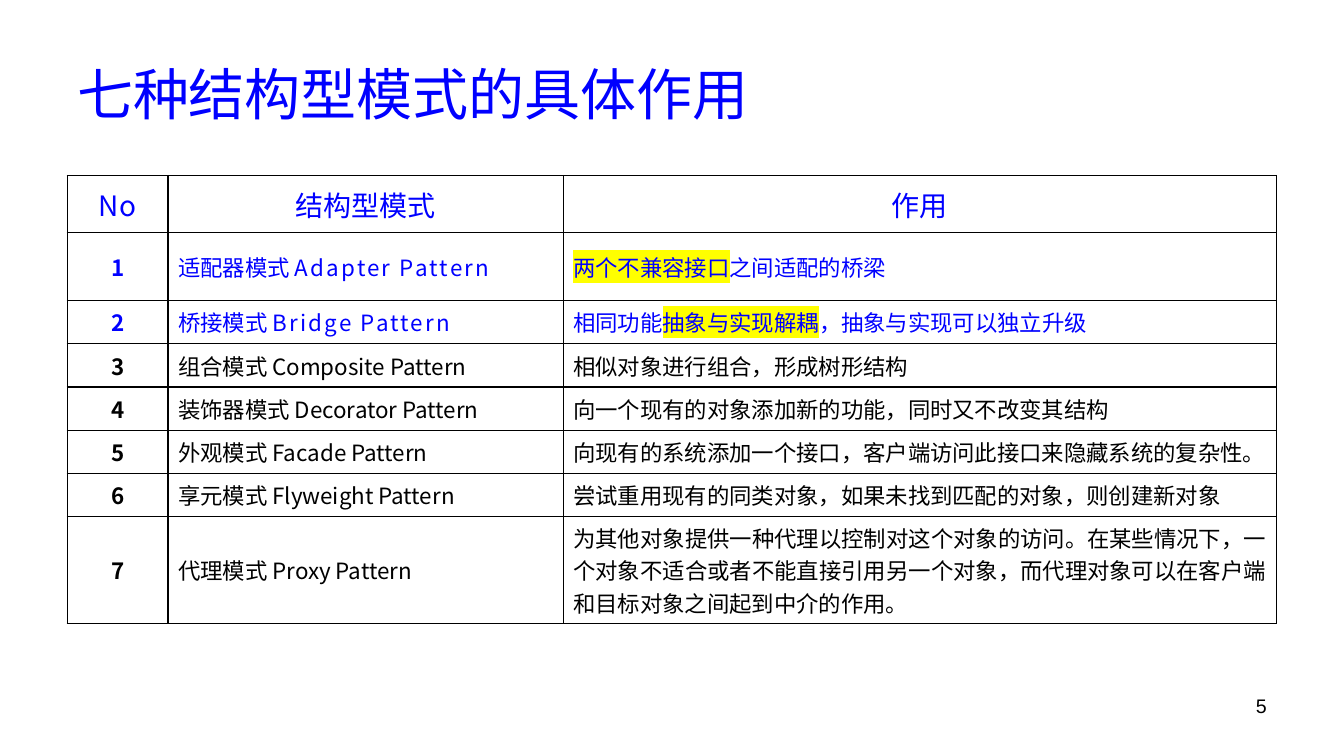
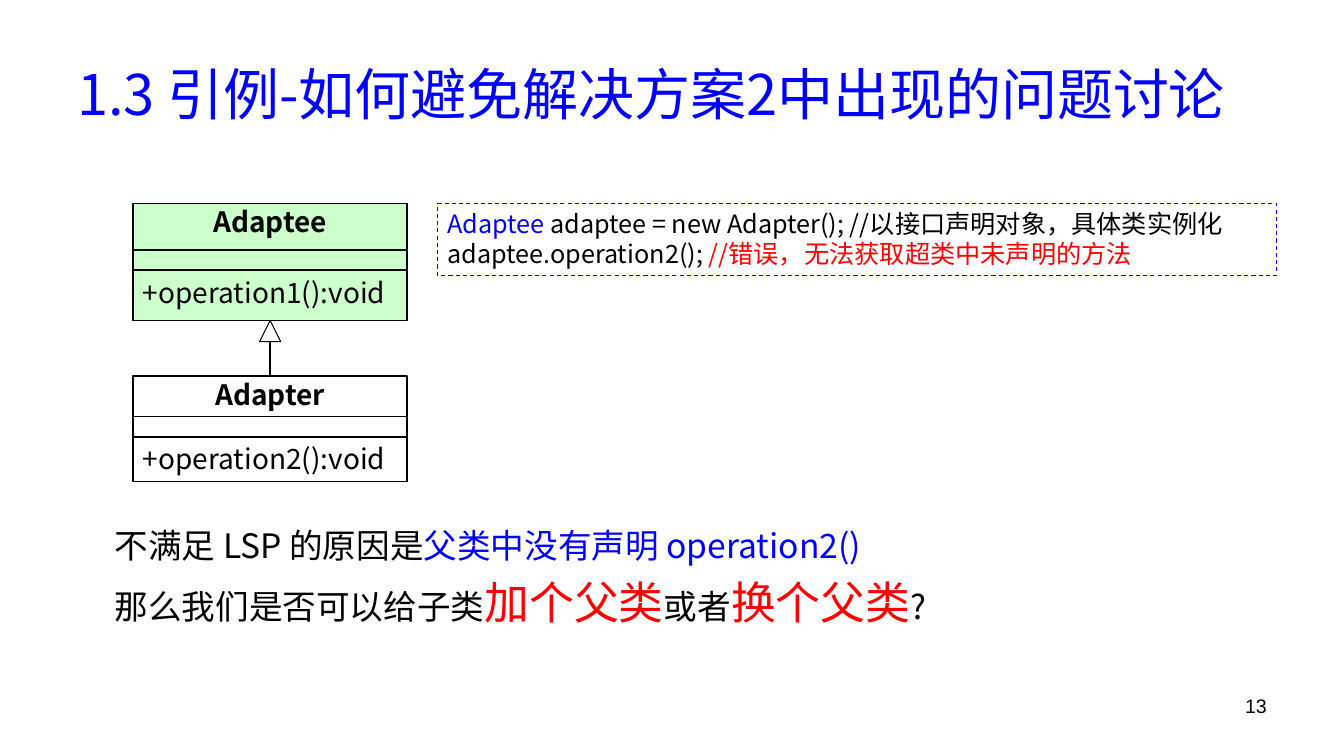
from dataclasses import dataclass
from typing import Optional

from lxml import etree
from pptx import Presentation, util as u
from pptx.dml.color import RGBColor
from pptx.enum import dml, shapes, text
from pptx.oxml import ns

# Shared look
BLUE = RGBColor(0x00, 0x00, 0xFF)
BLACK = RGBColor(0x00, 0x00, 0x00)
RED = RGBColor(0xFF, 0x00, 0x00)
WHITE = RGBColor(0xFF, 0xFF, 0xFF)
GREEN = RGBColor(0xCC, 0xFF, 0xCC)
YELLOW = RGBColor(0xFF, 0xFF, 0x00)
FACE = "Noto Sans CJK SC"
LEFT, CENTER, RIGHT, JUSTIFY = (text.PP_ALIGN.LEFT, text.PP_ALIGN.CENTER,
                                text.PP_ALIGN.RIGHT, text.PP_ALIGN.JUSTIFY)
TOP, MIDDLE = text.MSO_ANCHOR.TOP, text.MSO_ANCHOR.MIDDLE
RECT = shapes.MSO_SHAPE.RECTANGLE
SLIDE_W, SLIDE_H = u.Inches(13.33), u.Inches(7.5)


@dataclass(frozen=True)
class Box:
    """Position and size in percent of the slide."""
    x: float
    y: float
    w: float
    h: float

    def emu(self) -> tuple[int, int, int, int]:
        return across(self.x), down(self.y), across(self.w), down(self.h)


@dataclass(frozen=True)
class Run:
    text: str
    color: Optional[RGBColor] = None
    size: Optional[float] = None
    highlight: Optional[RGBColor] = None
    spacing: float = 0


@dataclass(frozen=True)
class Para:
    runs: tuple[Run, ...]
    size: float
    color: RGBColor = BLACK
    align: text.PP_ALIGN = LEFT
    bold: bool = False
    face: str = FACE
    before: float = 0
    line: Optional[float] = None


@dataclass(frozen=True)
class Pattern:
    name: str
    english: str
    purpose: tuple[Run, ...]
    height: float = 5.73
    studied: bool = False
    before: float = 0


@dataclass(frozen=True)
class UmlClass:
    name: str
    method: str
    top: float
    heights: tuple[float, float, float]
    fill: Optional[RGBColor] = None


TITLE_BOX = Box(5, 4, 90, 16.67)
PAGE_BOX = Box(71.67, 91.07, 23.33, 6.94)
TABLE_BOX = Box(5, 23.2, 90, 59.31)
COLUMNS = (7.5, 29.4, 53.1)
HEADER_HEIGHT = 7.6
UML_X, UML_W = 9.9, 20.4
UML_TOP = 26.93
CODE_BOX = Box(32.55, UML_TOP, 62.45, 9.47)
REASON_BOX = Box(7.8, 68.8, 87.2, 15.2)

PATTERNS = (
    Pattern("适配器模式", "Adapter Pattern",
            (Run("两个不兼容接口", highlight=YELLOW), Run("之间适配的桥梁")),
            height=8.93, studied=True, before=6),
    Pattern("桥接模式", "Bridge Pattern",
            (Run("相同功能"), Run("抽象与实现解耦", highlight=YELLOW),
             Run("，抽象与实现可以独立升级")), studied=True),
    Pattern("组合模式", "Composite Pattern",
            (Run("相似对象进行组合，形成树形结构"),), before=6),
    Pattern("装饰器模式", "Decorator Pattern",
            (Run("向一个现有的对象添加新的功能，同时又不改变其结构"),)),
    Pattern("外观模式", "Facade Pattern",
            (Run("向现有的系统添加一个接口，客户端访问此接口来隐藏系统的复杂性。"),),
            before=6),
    Pattern("享元模式", "Flyweight Pattern",
            (Run("尝试重用现有的同类对象，如果未找到匹配的对象，则创建新对象"),),
            before=6),
    Pattern("代理模式", "Proxy Pattern",
            (Run("为其他对象提供一种代理以控制对这个对象的访问。在某些情况下，"
                 "一个对象不适合或者不能直接引用另一个对象，"
                 "而代理对象可以在客户端和目标对象之间起到中介的作用。"),),
            height=14.13),
)

ADAPTEE = UmlClass("Adaptee", "+operation1():void", UML_TOP,
                   (6.13, 2.67, 6.67), GREEN)
ADAPTER = UmlClass("Adapter", "+operation2():void", 49.73,
                   (5.4, 2.67, 5.87))


def across(percent: float) -> int:
    return round(SLIDE_W * percent / 100)


def down(percent: float) -> int:
    return round(SLIDE_H * percent / 100)


# Text
def add_run(p, run: Run) -> None:
    r = p.add_run()
    r.text = run.text
    if run.size:
        r.font.size = u.Pt(run.size)
    if run.color is not None:
        r.font.color.rgb = run.color
    rpr = r._r.get_or_add_rPr()
    if run.spacing:
        rpr.set("spc", str(round(run.spacing * 100)))
    if run.highlight is not None:
        mark = etree.SubElement(rpr, ns.qn("a:highlight"))
        etree.SubElement(mark, ns.qn("a:srgbClr"), val=str(run.highlight))


def write(tf, paras: tuple[Para, ...]) -> None:
    for i, para in enumerate(paras):
        p = tf.add_paragraph() if i else tf.paragraphs[0]
        p.alignment = para.align
        p.space_before = u.Pt(para.before)
        if para.line:
            p.line_spacing = para.line
        font = p.font
        font.name, font.size, font.bold = para.face, u.Pt(para.size), para.bold
        font.color.rgb = para.color
        # East Asian glyphs need the typeface named separately
        defaults = p._p.pPr.find(ns.qn("a:defRPr"))
        etree.SubElement(defaults, ns.qn("a:ea"), typeface=para.face)
        for run in para.runs:
            add_run(p, run)


def add_text(s, box: Box, *paras: Para, anchor=TOP) -> None:
    tf = s.shapes.add_textbox(*box.emu()).text_frame
    tf.word_wrap = True
    tf.vertical_anchor = anchor
    write(tf, paras)


# Shapes
def add_shape(s, box: Box, *paras: Para, kind=RECT, fill=None,
              line=BLACK, width: float = 1):
    sp = s.shapes.add_shape(kind, *box.emu())
    sp.shadow.inherit = False
    if fill is None:
        sp.fill.background()
    else:
        sp.fill.solid()
        sp.fill.fore_color.rgb = fill
    sp.line.color.rgb = line
    sp.line.width = u.Pt(width)
    sp.text_frame.word_wrap = True
    sp.text_frame.vertical_anchor = TOP
    write(sp.text_frame, paras)
    return sp


def add_class(s, uml: UmlClass) -> float:
    """Draw name, attribute and method boxes; return the bottom edge."""
    contents = (
        (Para((Run(uml.name),), 20, align=CENTER, bold=True, line=0.9),),
        (),
        (Para((Run(uml.method),), 20),),
    )
    y = uml.top
    for height, paras in zip(uml.heights, contents):
        add_shape(s, Box(UML_X, y, UML_W, height), *paras, fill=uml.fill)
        y += height
    return y


def add_inheritance(s, parent_bottom: float, child_top: float) -> None:
    center, width, height = UML_X + UML_W / 2, 1.58, 2.8
    add_shape(s, Box(center - width / 2, parent_bottom, width, height),
              kind=shapes.MSO_SHAPE.ISOSCELES_TRIANGLE, fill=WHITE, width=0.75)
    line = s.shapes.add_connector(
        shapes.MSO_CONNECTOR.STRAIGHT, across(center),
        down(parent_bottom + height), across(center), down(child_top))
    line.line.color.rgb = BLACK
    line.line.width = u.Pt(1)
    etree.SubElement(line._element.spPr, ns.qn("a:effectLst"))


# Table
def fill_cell(cell, para: Para) -> None:
    cell.vertical_anchor = MIDDLE
    tcpr = cell._tc.get_or_add_tcPr()
    for side in ("lnL", "lnR", "lnT", "lnB"):
        ln = etree.SubElement(tcpr, ns.qn(f"a:{side}"), w=str(u.Pt(1)))
        solid = etree.SubElement(ln, ns.qn("a:solidFill"))
        etree.SubElement(solid, ns.qn("a:srgbClr"), val=str(BLACK))
    cell.fill.background()
    write(cell.text_frame, (para,))


def pattern_row(number: int, pattern: Pattern) -> tuple[Para, ...]:
    color = BLUE if pattern.studied else BLACK
    name = (Run(pattern.name + " "),
            Run(pattern.english, spacing=1.6 if pattern.studied else 0))
    return (
        Para((Run(str(number)),), 16, color, CENTER, bold=True),
        Para(name, 16, color, JUSTIFY),
        Para(pattern.purpose, 16, color, JUSTIFY, before=pattern.before),
    )


def add_pattern_table(s) -> None:
    rows = [tuple(Para((Run(label),), 20, BLUE, CENTER)
                  for label in ("No", "结构型模式", "作用"))]
    rows += [pattern_row(n, item) for n, item in enumerate(PATTERNS, 1)]
    heights = [HEADER_HEIGHT] + [item.height for item in PATTERNS]
    table = s.shapes.add_table(len(rows), len(COLUMNS), *TABLE_BOX.emu()).table
    for column, width in zip(table.columns, COLUMNS):
        column.width = across(width)
    for row, height, paras in zip(table.rows, heights, rows):
        row.height = down(height)
        for cell, para in zip(row.cells, paras):
            fill_cell(cell, para)


# Slides
def new_slide(prs, title: str, page: int):
    s = prs.slides.add_slide(prs.slide_layouts[6])
    add_text(s, TITLE_BOX, Para((Run(title),), 40, BLUE), anchor=MIDDLE)
    add_text(s, PAGE_BOX, Para((Run(str(page)),), 14, align=RIGHT, face="Arial"))
    return s


def roles_slide(prs) -> None:
    s = new_slide(prs, "七种结构型模式的具体作用", 5)
    add_pattern_table(s)


def discussion_slide(prs) -> None:
    s = new_slide(prs, "1.3 引例-如何避免解决方案2中出现的问题讨论", 13)
    parent_bottom = add_class(s, ADAPTEE)
    add_class(s, ADAPTER)
    add_inheritance(s, parent_bottom, ADAPTER.top)
    add_text(
        s, REASON_BOX,
        Para((Run("不满足 LSP 的原因是"),
              Run("父类中没有声明 operation2()", BLUE)), 24, before=6.7),
        Para((Run("那么我们是否可以给子类"), Run("加个父类", RED, 32),
              Run("或者"), Run("换个父类", RED, 32), Run("?")), 24, before=6.7))
    code = add_shape(
        s, CODE_BOX,
        Para((Run("Adaptee ", BLUE),
              Run("adaptee = new Adapter(); //以接口声明对象，具体类实例化")), 18),
        Para((Run("adaptee.operation2(); "),
              Run("//错误，无法获取超类中未声明的方法", RED)), 18),
        line=BLUE, width=0.75)
    code.line.dash_style = dml.MSO_LINE.DASH


def main() -> None:
    prs = Presentation()
    prs.slide_width, prs.slide_height = SLIDE_W, SLIDE_H
    roles_slide(prs)
    discussion_slide(prs)
    prs.save("out.pptx")


if __name__ == "__main__":
    main()
